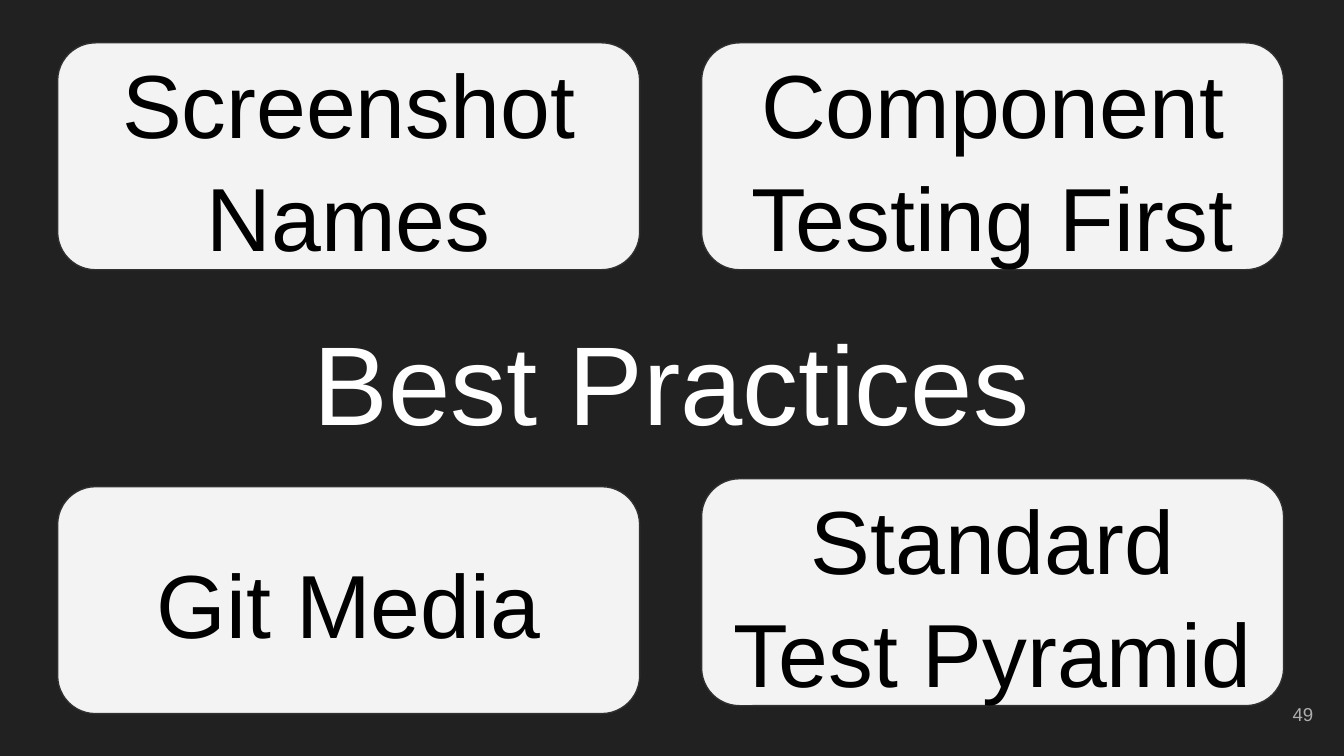
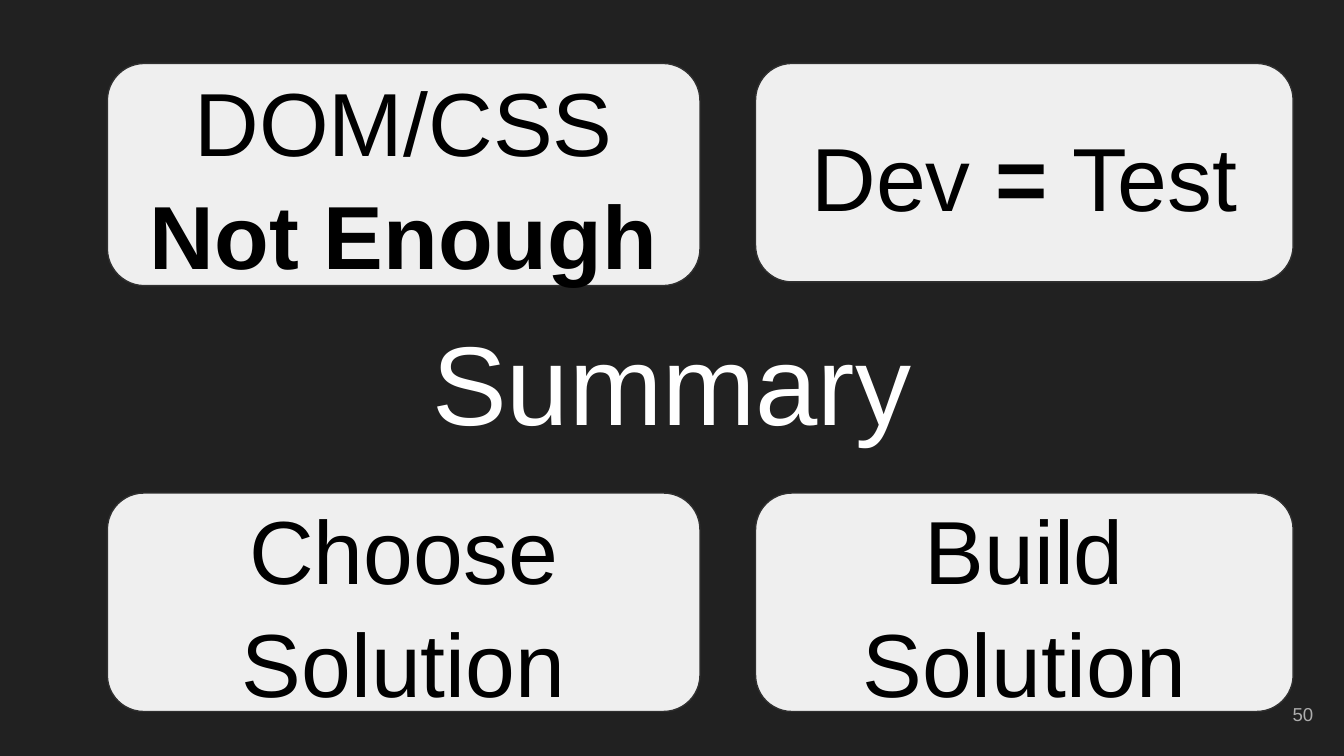
"""Build the best practices and summary slides."""
from pptx import Presentation
from pptx.dml.color import RGBColor
from pptx.enum.shapes import MSO_SHAPE
from pptx.enum.text import MSO_ANCHOR, MSO_AUTO_SIZE, PP_ALIGN
from pptx.util import Cm, Pt

BACKGROUND = RGBColor(0x21, 0x21, 0x21)
WHITE = RGBColor(0xFF, 0xFF, 0xFF)
BLACK = RGBColor(0x00, 0x00, 0x00)
OUTLINE = RGBColor(0x30, 0x30, 0x30)
PAGE_GREY = RGBColor(0xAD, 0xAD, 0xAD)
PRACTICE_FILL = RGBColor(0xF3, 0xF3, 0xF3)
SUMMARY_FILL = RGBColor(0xEF, 0xEF, 0xEF)

ROUNDED = MSO_SHAPE.ROUNDED_RECTANGLE
MIDDLE = MSO_ANCHOR.MIDDLE
NO_FIT = MSO_AUTO_SIZE.NONE
CENTER, RIGHT = PP_ALIGN.CENTER, PP_ALIGN.RIGHT

FONT = "Arial"
TITLE_ONLY = 5
INSET = Cm(0.25)
LINE_SPACING = 1.05


class Deck:
    """Hold the shared style and the current slide."""

    def __init__(self):
        self.prs = Presentation()
        self.prs.slide_width, self.prs.slide_height = Cm(25.4), Cm(14.29)
        fill = self.prs.slide_master.background.fill
        fill.solid()
        fill.fore_color.rgb = BACKGROUND

    def set_text(self, shape, runs, size, color, align=CENTER):
        """Fill a shape with one paragraph of (text, bold) runs."""
        tf = shape.text_frame
        tf.auto_size = NO_FIT
        tf.word_wrap = True
        tf.vertical_anchor = MIDDLE
        tf.margin_left = tf.margin_right = INSET
        tf.margin_top = tf.margin_bottom = INSET
        p = tf.paragraphs[0]
        p.alignment = align
        p.line_spacing = LINE_SPACING
        for text, bold in runs:
            r = p.add_run()
            r.text = text
            r.font.name = FONT
            r.font.size = Pt(size)
            r.font.bold = bold
            r.font.color.rgb = color

    def slide(self, title, number):
        """Start a slide with its title and page number."""
        self.s = self.prs.slides.add_slide(self.prs.slide_layouts[TITLE_ONLY])
        sp = self.s.shapes.title
        sp.left, sp.top, sp.width, sp.height = Cm(0.86), Cm(5.97), Cm(23.67), Cm(2.34)
        self.set_text(sp, [(title, False)], 60, WHITE)
        page = self.s.shapes.add_textbox(Cm(23.55), Cm(12.95), Cm(1.52), Cm(1.09))
        self.set_text(page, [(str(number), False)], 10, PAGE_GREY, RIGHT)

    def card(self, left, top, width, height, fill, *runs):
        """Add a rounded card with large centred text."""
        sp = self.s.shapes.add_shape(ROUNDED, Cm(left), Cm(top), Cm(width), Cm(height))
        sp.shadow.inherit = False
        sp.fill.solid()
        sp.fill.fore_color.rgb = fill
        sp.line.color.rgb = OUTLINE
        sp.line.width = Pt(0.75)
        self.set_text(sp, runs, 48, BLACK)


def main():
    """Build and save both slides."""
    deck = Deck()

    deck.slide("Best Practices", 49)
    for left, top, text in (
        (1.09, 0.81, "Screenshot Names"),
        (13.26, 0.81, "Component Testing First"),
        (1.09, 9.2, "Git Media"),
        (13.26, 9.05, "Standard Test Pyramid"),
    ):
        deck.card(left, top, 11, 4.29, PRACTICE_FILL, (text, False))

    deck.slide("Summary", 50)
    left_column, right_column = (2.03, 11.2), (14.28, 10.16)
    for (left, width), top, height, runs in (
        (left_column, 1.2, 4.2, [("DOM/CSS ", False), ("Not Enough", True)]),
        (right_column, 1.2, 4.13, [("Dev ", False), ("= ", True), ("Test", False)]),
        (left_column, 9.32, 4.13, [("Choose Solution", False)]),
        (right_column, 9.32, 4.13, [("Build Solution", False)]),
    ):
        deck.card(left, top, width, height, SUMMARY_FILL, *runs)

    deck.prs.save("out.pptx")


if __name__ == "__main__":
    main()
